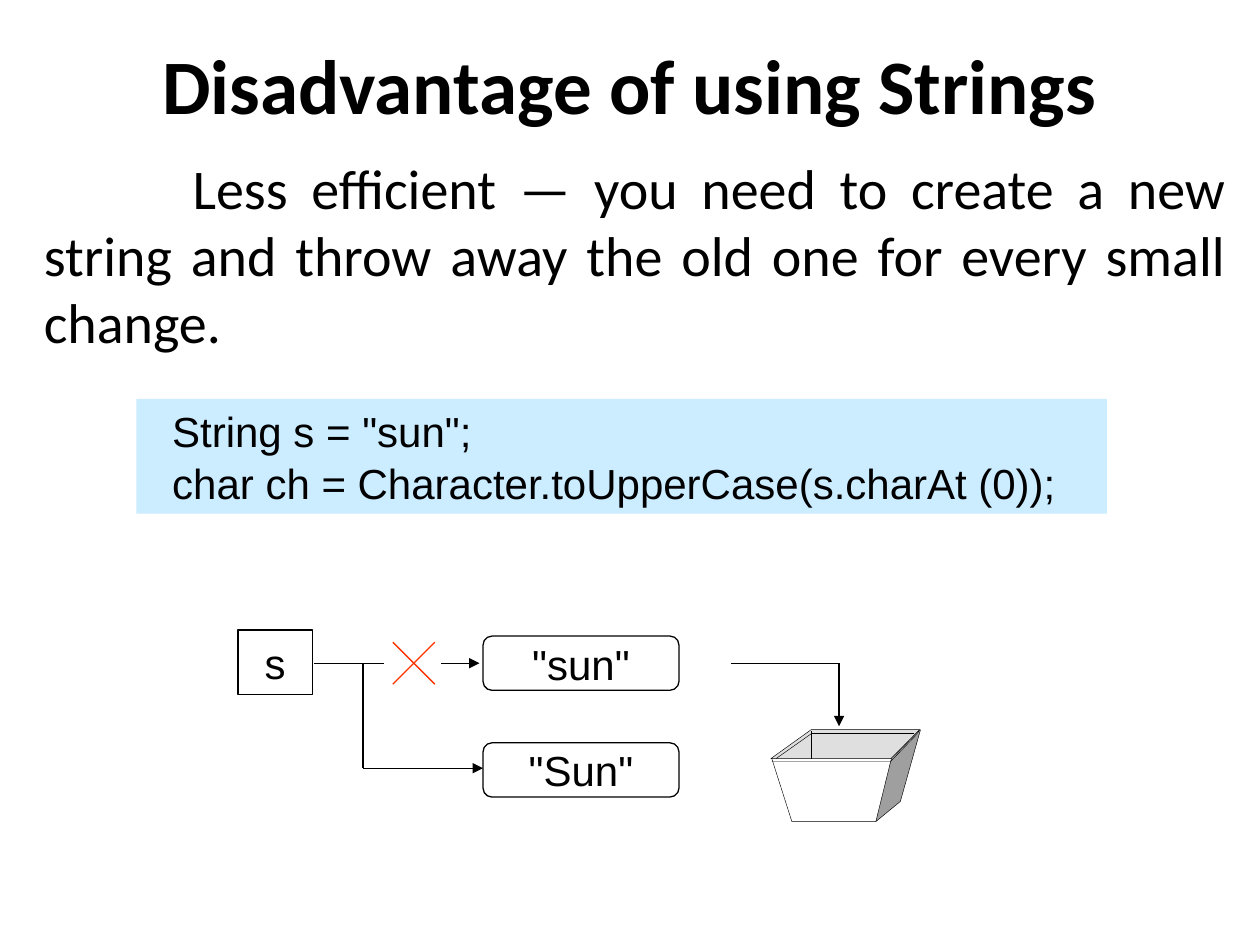
from pptx import Presentation
from pptx.dml.color import RGBColor
from pptx.enum.shapes import MSO_CONNECTOR, MSO_SHAPE
from pptx.enum.text import MSO_ANCHOR, PP_ALIGN
from pptx.oxml.ns import qn
from pptx.util import Pt
from lxml.etree import SubElement

BLACK = RGBColor(0x00, 0x00, 0x00)
RED = RGBColor(0xFF, 0x33, 0x00)
SKY = RGBColor(0xCC, 0xEC, 0xFF)
PALE = RGBColor(0xDF, 0xDF, 0xDF)
GREY = RGBColor(0x9F, 0x9F, 0x9F)


def write(shape, *lines, font="Arial", size=24, bold=False,
          align=PP_ALIGN.CENTER, anchor=MSO_ANCHOR.MIDDLE, indent=0):
    frame = shape.text_frame
    frame.word_wrap = True
    frame.vertical_anchor = anchor
    for i, line in enumerate(lines):
        para = frame.add_paragraph() if i else frame.paragraphs[0]
        para.alignment = align
        if indent:
            para._p.get_or_add_pPr().set("indent", str(Pt(indent)))
        run = para.add_run()
        run.text = line
        run.font.name, run.font.size, run.font.bold = font, Pt(size), bold
        run.font.color.rgb = BLACK


def place(shape, box):
    shape.left, shape.top, shape.width, shape.height = map(Pt, box)


def paint(shape, fill=None, width=0.75):
    shape.shadow.inherit = False
    if fill is None:
        shape.fill.background()
    else:
        shape.fill.solid()
        shape.fill.fore_color.rgb = fill
    if width:
        shape.line.color.rgb = BLACK
        shape.line.width = Pt(width)
    else:
        shape.line.fill.background()


def block(slide, kind, box, fill=None, width=0.75):
    shape = slide.shapes.add_shape(kind, *map(Pt, box))
    paint(shape, fill, width)
    return shape


def rule(slide, start, end, color=BLACK, width=0.75, arrow=False):
    line = slide.shapes.add_connector(
        MSO_CONNECTOR.STRAIGHT, *map(Pt, (*start, *end)))
    line.line.color.rgb = color
    line.line.width = Pt(width)
    if arrow:
        SubElement(line.line._get_or_add_ln(), qn("a:tailEnd"), type="triangle")
    SubElement(line._element.spPr, qn("a:effectLst"))


def draw_title(slide, box):
    title = slide.shapes.title
    place(title, box)
    write(title, "Disadvantage of using Strings",
          font="Calibri", size=44, bold=True)


def draw_body(slide, box):
    body = slide.shapes.add_textbox(*map(Pt, box))
    write(body, "Less efficient — you need to create a new string and throw "
          "away the old one for every small change.", font="Calibri", size=32,
          align=PP_ALIGN.JUSTIFY, anchor=MSO_ANCHOR.TOP, indent=85)


def draw_code(slide, box):
    panel = block(slide, MSO_SHAPE.RECTANGLE, box, SKY, 0)
    write(panel, '  String s = "sun";',
          "  char ch = Character.toUpperCase(s.charAt (0));",
          align=PP_ALIGN.LEFT)
    panel.text_frame.paragraphs[1].space_before = Pt(1)


def draw_refs(slide, box):
    x, y, w, h = box
    mid, low = y + 19, y + 79
    fork, goal = x + 71.5, x + 140

    # Variable
    name = block(slide, MSO_SHAPE.RECTANGLE, (x, y, 42.5, 37))
    write(name, "s")

    # Cut link to the old string
    rule(slide, (x + 43.5, mid), (x + 83.5, mid))
    rule(slide, (x + 116, mid), (goal - 2, mid), arrow=True)
    cross, size = x + 88.5, 24
    top, foot = mid - size / 2, mid + size / 2
    for start, end in ((foot, top), (top, foot)):
        rule(slide, (cross, start), (cross + size, end), RED)

    # Link to the new string
    rule(slide, (fork, mid), (fork, low))
    rule(slide, (fork, low), (goal, low), arrow=True)

    # Strings
    for text, top in (('"sun"', y + 3.5), ('"Sun"', y + 64.5)):
        value = block(slide, MSO_SHAPE.ROUNDED_RECTANGLE,
                      (goal, top, x + w - goal, 31))
        write(value, text)


def draw_bin(slide, box):
    x, y, w, h = box
    rim = 16.5

    def face(points, fill=None, close=False):
        spots = [(Pt(x + a), Pt(y + b)) for a, b in points]
        form = slide.shapes.build_freeform(*spots[0])
        form.add_line_segments(spots[1:], close=close)
        paint(form.convert_to_shape(), fill, 0.25)

    # Opening, side, front and lip
    face([(0, rim), (23, 0), (85, 0), (69, rim)], PALE, True)
    face([(85, 1.5), (w, 0), (74, 41), (60, h), (68.5, 18), (69, rim)], GREY)
    face([(0.5, rim), (12, h), (60, h)])
    face([(0.5, 18), (68.5, 18), (84, 2), (85, 0), (68.5, rim)])

    # Inner edges
    for start, end in (((23, 1), (23, rim)), ((23, 2), (82, 2)),
                       ((3, rim), (23.5, 2))):
        rule(slide, (x + start[0], y + start[1]),
             (x + end[0], y + end[1]), width=0.25)

    # Way into the bin
    turn, high = x + 39, y - 38
    rule(slide, (x - 23, high), (turn, high))
    rule(slide, (turn, high), (turn, y - 2), arrow=True)


def main():
    deck = Presentation()
    deck.slide_width, deck.slide_height = Pt(720), Pt(540)
    slide = deck.slides.add_slide(deck.slide_layouts[5])
    draw_title(slide, (0, 12, 720, 72))
    draw_body(slide, (18, 84, 690, 124))
    draw_code(slide, (78, 228, 554.5, 65.5))
    draw_refs(slide, (136, 360, 252, 96))
    draw_bin(slide, (440.5, 417, 85.5, 52.5))
    deck.save("out.pptx")


if __name__ == "__main__":
    main()
